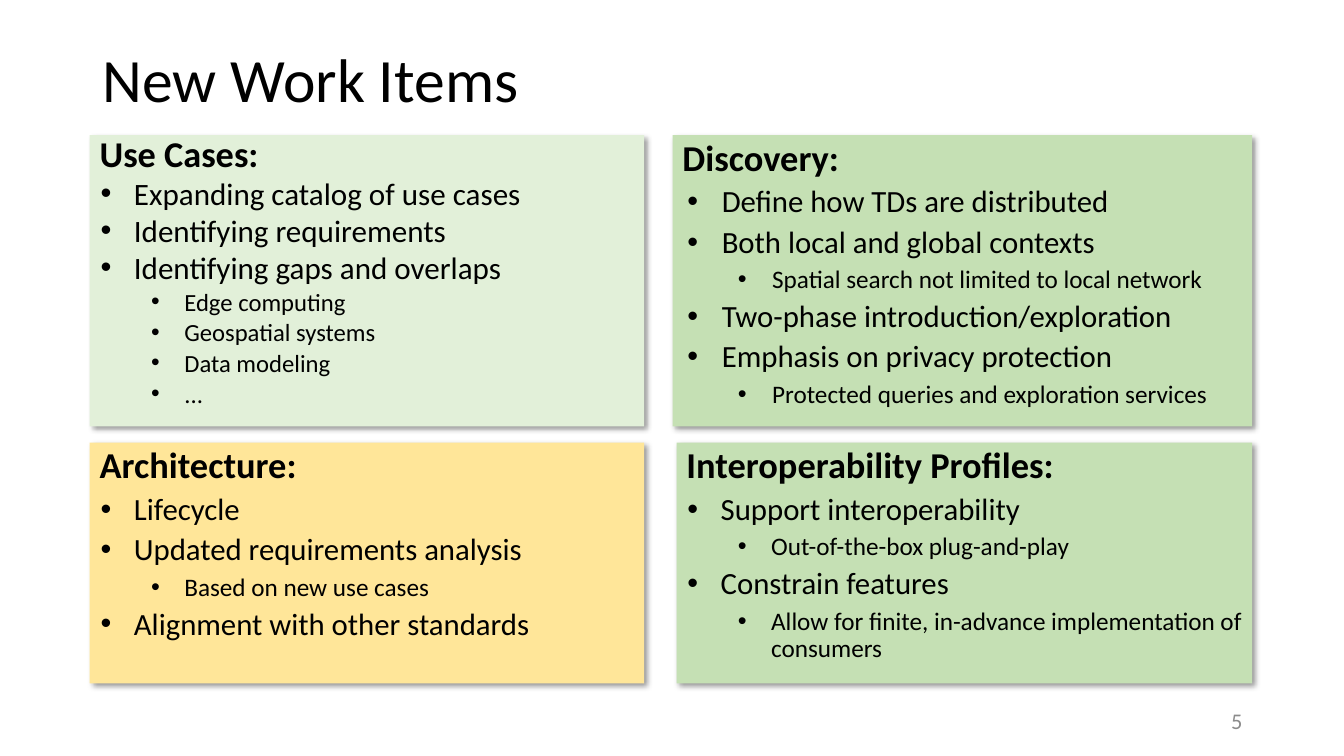
from dataclasses import dataclass

from lxml import etree
from pptx import Presentation
from pptx.dml.color import RGBColor
from pptx.enum import shapes, text
from pptx.oxml import ns
from pptx.util import Inches, Pt

FONT = "Calibri"
COLORS = {
    "ink": "000000",
    "page_number": "8C8C8C",
    "pale_green": "E2F0D9",
    "green": "C5E0B4",
    "yellow": "FFE699",
}
BULLET_STEP = 0.5
TOP_ROW = (1.34, 2.89)
BOTTOM_ROW = (4.39, 2.39)


@dataclass(frozen=True)
class TextStyle:
    sizes: tuple[float, float, float] = (26, 22, 18)
    line_spacing: float = 0.9
    indent: float = 0.34
    hanging: float = 0.33


@dataclass(frozen=True)
class Topic:
    heading: str
    points: list[tuple[int, str]]
    left: float
    width: float
    row: tuple[float, float]
    color: str
    style: TextStyle = TextStyle()


TOPICS = [
    Topic("Use Cases:", [
        (1, "Expanding catalog of use cases"),
        (1, "Identifying requirements"),
        (1, "Identifying gaps and overlaps"),
        (2, "Edge computing"),
        (2, "Geospatial systems"),
        (2, "Data modeling"),
        (2, "..."),
    ], 0.89, 5.5, TOP_ROW, "pale_green", TextStyle((25.9, 22.2, 17.6), 0.8)),
    Topic("Interoperability Profiles:", [
        (1, "Support interoperability"),
        (2, "Out-of-the-box plug-and-play"),
        (1, "Constrain features"),
        (2, "Allow for finite, in-advance implementation of consumers"),
    ], 6.71, 5.71, BOTTOM_ROW, "green"),
    Topic("Discovery:", [
        (1, "Define how TDs are distributed"),
        (1, "Both local and global contexts"),
        (2, "Spatial search not limited to local network"),
        (1, "Two-phase introduction/exploration"),
        (1, "Emphasis on privacy protection"),
        (2, "Protected queries and exploration services"),
    ], 6.67, 5.75, TOP_ROW, "green", TextStyle(indent=0.39, hanging=0.34)),
    Topic("Architecture:", [
        (1, "Lifecycle"),
        (1, "Updated requirements analysis"),
        (2, "Based on new use cases"),
        (1, "Alignment with other standards"),
    ], 0.89, 5.5, BOTTOM_ROW, "yellow"),
]


def add_run(paragraph, wording: str, size: float, color: str = "ink", bold: bool = False) -> None:
    run = paragraph.add_run()
    run.text = wording
    run.font.name = FONT
    run.font.size = Pt(size)
    run.font.bold = bold
    run.font.color.rgb = RGBColor.from_string(COLORS[color])


def add_bullet(paragraph, level: int, style: TextStyle) -> None:
    properties = paragraph._p.get_or_add_pPr()
    properties.set("marL", str(Inches(style.indent + BULLET_STEP * (level - 1))))
    properties.set("indent", str(-Inches(style.hanging)))
    etree.SubElement(properties, ns.qn("a:buFont"), typeface="Arial")
    etree.SubElement(properties, ns.qn("a:buChar"), char="•")


def add_drop_shadow(shape) -> None:
    shape.shadow.inherit = False
    effects = shape._element.spPr.find(ns.qn("a:effectLst"))
    shadow = etree.SubElement(
        effects, ns.qn("a:outerShdw"), blurRad=str(Pt(4)), dist=str(Pt(3)),
        dir=str(45 * 60000), algn="tl", rotWithShape="0")
    shade = etree.SubElement(shadow, ns.qn("a:srgbClr"), val=COLORS["ink"])
    etree.SubElement(shade, ns.qn("a:alpha"), val="40000")


def add_topic(slide, topic: Topic) -> None:
    top, height = topic.row
    panel = slide.shapes.add_shape(
        shapes.MSO_SHAPE.RECTANGLE, Inches(topic.left), Inches(top),
        Inches(topic.width), Inches(height))
    panel.fill.solid()
    panel.fill.fore_color.rgb = RGBColor.from_string(COLORS[topic.color])
    panel.line.fill.background()
    add_drop_shadow(panel)

    frame = panel.text_frame
    frame.word_wrap = True
    frame.vertical_anchor = text.MSO_ANCHOR.TOP
    for index, (level, wording) in enumerate([(0, topic.heading), *topic.points]):
        paragraph = frame.add_paragraph() if index else frame.paragraphs[0]
        if level:
            add_bullet(paragraph, level, topic.style)
            paragraph.level = level - 1
            paragraph.space_before = Pt(5)
        paragraph.alignment = text.PP_ALIGN.LEFT
        paragraph.line_spacing = topic.style.line_spacing
        add_run(paragraph, wording, topic.style.sizes[level], bold=level == 0)


def set_title(slide, wording: str) -> None:
    title = slide.shapes.title
    title.left, title.top = Inches(0.92), Inches(0.4)
    title.width, title.height = Inches(11.5), Inches(0.84)
    title.text_frame.vertical_anchor = text.MSO_ANCHOR.MIDDLE
    paragraph = title.text_frame.paragraphs[0]
    paragraph.alignment = text.PP_ALIGN.LEFT
    paragraph.line_spacing = 0.9
    add_run(paragraph, wording, 44)


def add_page_number(slide, number: str) -> None:
    box = slide.shapes.add_textbox(Inches(9.42), Inches(6.95), Inches(3), Inches(0.4))
    box.text_frame.word_wrap = True
    box.text_frame.vertical_anchor = text.MSO_ANCHOR.MIDDLE
    paragraph = box.text_frame.paragraphs[0]
    paragraph.alignment = text.PP_ALIGN.RIGHT
    add_run(paragraph, number, 16, "page_number")


def main() -> None:
    deck = Presentation()
    deck.slide_width, deck.slide_height = Inches(13.33), Inches(7.5)
    slide = deck.slides.add_slide(deck.slide_layouts.get_by_name("Title Only"))
    set_title(slide, "New Work Items")
    for topic in TOPICS:
        add_topic(slide, topic)
    add_page_number(slide, "5")
    deck.save("out.pptx")


if __name__ == "__main__":
    main()
